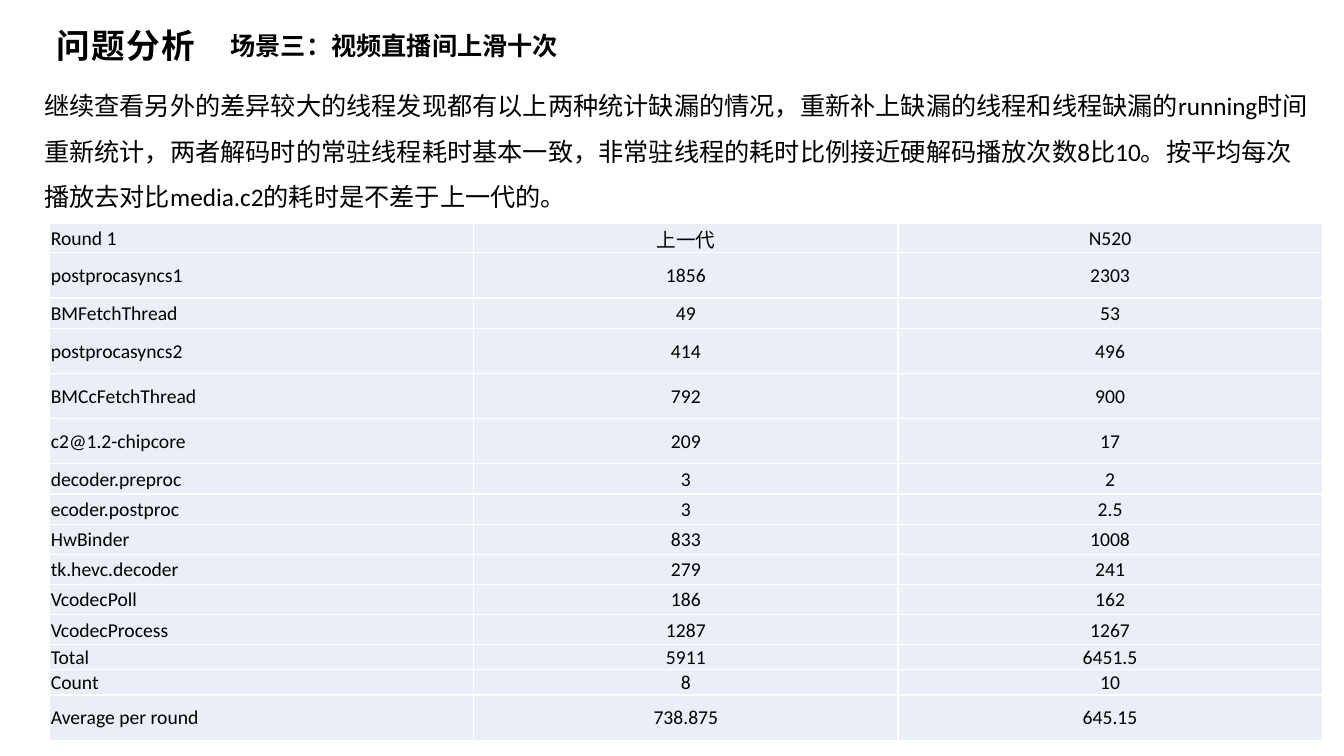
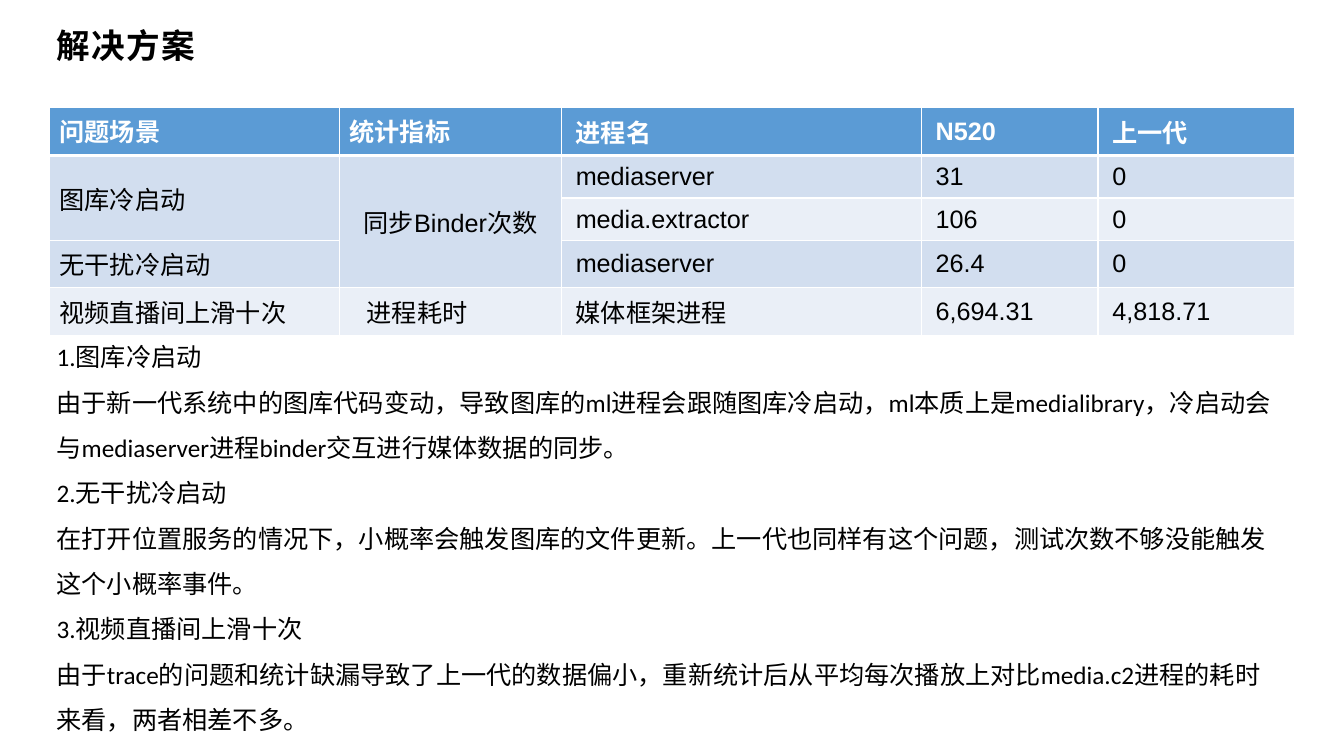
from dataclasses import dataclass

from lxml import etree
from pptx import Presentation
from pptx.dml.color import RGBColor
from pptx.enum.lang import MSO_LANGUAGE_ID
from pptx.enum.text import MSO_ANCHOR, MSO_AUTO_SIZE, PP_ALIGN
from pptx.oxml.ns import qn
from pptx.util import Cm, Pt

LEFT, CENTER = PP_ALIGN.LEFT, PP_ALIGN.CENTER
TOP, MIDDLE = MSO_ANCHOR.TOP, MSO_ANCHOR.MIDDLE
NO_AUTOFIT = MSO_AUTO_SIZE.NONE
CHINESE = MSO_LANGUAGE_ID.SIMPLIFIED_CHINESE
TITLE_AND_CONTENT = 1


@dataclass(frozen=True)
class Theme:
    text: str = "000000"
    white: str = "FFFFFF"
    header: str = "5B9BD5"
    band_dark: str = "D2DEEF"
    band_light: str = "EAEFF7"
    cjk: str = "Noto Sans CJK SC"
    body_font: str = "Calibri"
    table_font: str = "Arial"
    title_size: int = 24
    body_size: int = 18
    small_size: int = 14


THEME = Theme()
TITLE = {"name": THEME.cjk, "size": Pt(THEME.title_size), "bold": True}
SUBTITLE = {"name": THEME.cjk, "size": Pt(THEME.body_size), "bold": True}
BODY = {"name": THEME.body_font, "size": Pt(THEME.body_size), "bold": False}
THREAD_CELL = {"name": THEME.body_font, "size": Pt(THEME.small_size), "bold": False}
SUMMARY_CELL = {"name": THEME.table_font, "size": Pt(THEME.body_size), "bold": False}
SUMMARY_HEADER = {**SUMMARY_CELL, "bold": True}

THREAD_INSETS = (0.03, 0.03, 0.03, 0)
LABEL_INSETS = (0.25, 0.13, 0.25, 0.13)
VALUE_INSETS = (0.36, 0.15, 0.36, 0.15)
INDENTED_INSETS = (0.68, 0.13, 0.25, 0.13)

SCENE = "视频直播间上滑十次"
NEW_MODEL, OLD_MODEL = "N520", "上一代"

THREAD_ROWS = [
    (0.74, "Round 1", OLD_MODEL, NEW_MODEL),
    (1.14, "postprocasyncs1", "1856", "2303"),
    (0.76, "BMFetchThread", "49", "53"),
    (1.14, "postprocasyncs2", "414", "496"),
    (1.14, "BMCcFetchThread", "792", "900"),
    (1.14, "c2@1.2-chipcore", "209", "17"),
    (0.76, "decoder.preproc", "3", "2"),
    (0.76, "ecoder.postproc", "3", "2.5"),
    (0.76, "HwBinder", "833", "1008"),
    (0.76, "tk.hevc.decoder", "279", "241"),
    (0.76, "VcodecPoll", "186", "162"),
    (0.76, "VcodecProcess", "1287", "1267"),
    (0.61, "Total", "5911", "6451.5"),
    (0.61, "Count", "8", "10"),
    (1.14, "Average per round", "738.875", "645.15"),
]
SUMMARY_ROWS = [
    ("问题场景", "统计指标", "进程名", NEW_MODEL, OLD_MODEL),
    ("图库冷启动", "同步Binder次数", "mediaserver", "31", "0"),
    (None, None, "media.extractor", "106", "0"),
    ("无干扰冷启动", None, "mediaserver", "26.4", "0"),
    (SCENE, "进程耗时", "媒体框架进程", "6,694.31", "4,818.71"),
]
ANALYSIS = [
    "继续查看另外的差异较大的线程发现都有以上两种统计缺漏的情况，重新补上缺漏的线程和线程缺漏的running时间重新统计，"
    "两者解码时的常驻线程耗时基本一致，非常驻线程的耗时比例接近硬解码播放次数8比10。"
    "按平均每次播放去对比media.c2的耗时是不差于上一代的。",
]
SOLUTIONS = [
    "1.图库冷启动",
    "由于新一代系统中的图库代码变动，导致图库的ml进程会跟随图库冷启动，ml本质上是medialibrary，"
    "冷启动会与mediaserver进程binder交互进行媒体数据的同步。",
    "2.无干扰冷启动",
    "在打开位置服务的情况下，小概率会触发图库的文件更新。上一代也同样有这个问题，测试次数不够没能触发这个小概率事件。",
    "3." + SCENE,
    "由于trace的问题和统计缺漏导致了上一代的数据偏小，重新统计后从平均每次播放上对比media.c2进程的耗时来看，两者相差不多。",
]


def place(shape, left, top, width, height):
    box = {"left": left, "top": top, "width": width, "height": height}
    for name, value in box.items():
        setattr(shape, name, Cm(value))


def write(p, text, style, color=THEME.text, align=LEFT):
    p.alignment = align
    r = p.add_run()
    r.text = text
    for name, value in style.items():
        setattr(r.font, name, value)
    r.font.color.rgb = RGBColor.from_string(color)
    r.font.language_id = CHINESE
    east_asian = etree.SubElement(r.font._element, qn("a:ea"))
    east_asian.set("typeface", THEME.cjk)
    return r


def format_frame(tf, wrap, anchor):
    values = {"word_wrap": wrap, "auto_size": NO_AUTOFIT, "vertical_anchor": anchor}
    for name, value in values.items():
        setattr(tf, name, value)


def add_titled_slide(prs, title):
    s = prs.slides.add_slide(prs.slide_layouts[TITLE_AND_CONTENT])
    sp = s.shapes.title
    place(sp, 1.17, 0.5, 4.06, 1.27)
    format_frame(sp.text_frame, False, MIDDLE)
    r = write(sp.text_frame.paragraphs[0], title, TITLE)
    r.font._element.set("spc", "100")
    return s


def add_subtitle(s, text):
    sp = s.shapes.add_textbox(Cm(5.56), Cm(0.63), Cm(9.2), Cm(1.02))
    format_frame(sp.text_frame, False, TOP)
    write(sp.text_frame.paragraphs[0], text, SUBTITLE)


def fill_body(s, paragraphs, box):
    sp = s.placeholders[1]
    place(sp, *box)
    tf = sp.text_frame
    format_frame(tf, True, TOP)
    for i, text in enumerate(paragraphs):
        p = tf.add_paragraph() if i else tf.paragraphs[0]
        write(p, text, BODY)
        p.line_spacing = 1.5
        p.space_before = p.space_after = Pt(0)
        properties = p._p.get_or_add_pPr()
        properties.set("marL", "0")
        properties.set("indent", "0")
        etree.SubElement(properties, qn("a:buNone"))


def add_grid(s, left, top, widths, heights):
    frame = s.shapes.add_table(len(heights), len(widths), Cm(left), Cm(top),
                               Cm(sum(widths)), Cm(sum(heights)))
    table = frame.table
    table.first_row = table.horz_banding = False
    for column, width in zip(table.columns, widths):
        column.width = Cm(width)
    for row, height in zip(table.rows, heights):
        row.height = Cm(height)
    return table


def set_borders(cell, top=1, bottom=1):
    properties = cell._tc.get_or_add_tcPr()
    sides = {"a:lnL": 1, "a:lnR": 1, "a:lnT": top, "a:lnB": bottom}
    for i, (tag, width) in enumerate(sides.items()):
        line = etree.Element(qn(tag), w=str(Pt(width)))
        fill = etree.SubElement(line, qn("a:solidFill"))
        etree.SubElement(fill, qn("a:srgbClr"), val=THEME.white)
        properties.insert(i, line)


def fill_cell(cell, text, style, fill, insets, color=THEME.text,
              align=LEFT, anchor=MIDDLE):
    cell.fill.solid()
    cell.fill.fore_color.rgb = RGBColor.from_string(fill)
    cell.vertical_anchor = anchor
    for side, inset in zip(("left", "top", "right", "bottom"), insets):
        setattr(cell, f"margin_{side}", Cm(inset))
    if text:
        write(cell.text_frame.paragraphs[0], text, style, color, align)


def add_thread_table(s):
    heights = [row[0] for row in THREAD_ROWS]
    table = add_grid(s, 1.25, 5.62, [10.69] * 3, heights)
    for i, (_, *values) in enumerate(THREAD_ROWS):
        for j, text in enumerate(values):
            cell = table.cell(i, j)
            fill_cell(cell, text, THREAD_CELL, THEME.band_light, THREAD_INSETS,
                      align=CENTER if j else LEFT)
            set_borders(cell)


def add_summary_table(s):
    table = add_grid(s, 1.25, 2.7, [7.31, 5.59, 9.07, 4.45, 4.95],
                     [1.07] * len(SUMMARY_ROWS))
    for column, last_row in ((0, 2), (1, 3)):
        table.cell(1, column).merge(table.cell(last_row, column))
    for i, values in enumerate(SUMMARY_ROWS):
        header = i == 0
        band = THEME.band_dark if i % 2 else THEME.band_light
        for j, text in enumerate(values):
            cell = table.cell(i, j)
            insets = VALUE_INSETS if j > 1 else LABEL_INSETS
            if (i, j) == (4, 1):
                insets = INDENTED_INSETS
            fill_cell(cell, text,
                      SUMMARY_HEADER if header else SUMMARY_CELL,
                      THEME.header if header else band,
                      insets,
                      color=THEME.white if header else THEME.text,
                      align=CENTER if cell.is_merge_origin and j == 1 else LEFT,
                      anchor=TOP if header and j < 2 else MIDDLE)
            set_borders(cell, top=3 if i == 1 else 1, bottom=3 if header else 1)


def add_analysis_slide(prs):
    s = add_titled_slide(prs, "问题分析")
    add_subtitle(s, "场景三：" + SCENE)
    add_thread_table(s)
    fill_body(s, ANALYSIS, (0.86, 1.78, 32.36, 3.61))


def add_solution_slide(prs):
    s = add_titled_slide(prs, "解决方案")
    add_summary_table(s)
    fill_body(s, SOLUTIONS, (1.17, 8.1, 31.29, 10.52))


def main():
    prs = Presentation()
    prs.slide_width, prs.slide_height = Cm(33.87), Cm(19.05)
    add_analysis_slide(prs)
    add_solution_slide(prs)
    prs.save("out.pptx")


if __name__ == "__main__":
    main()
